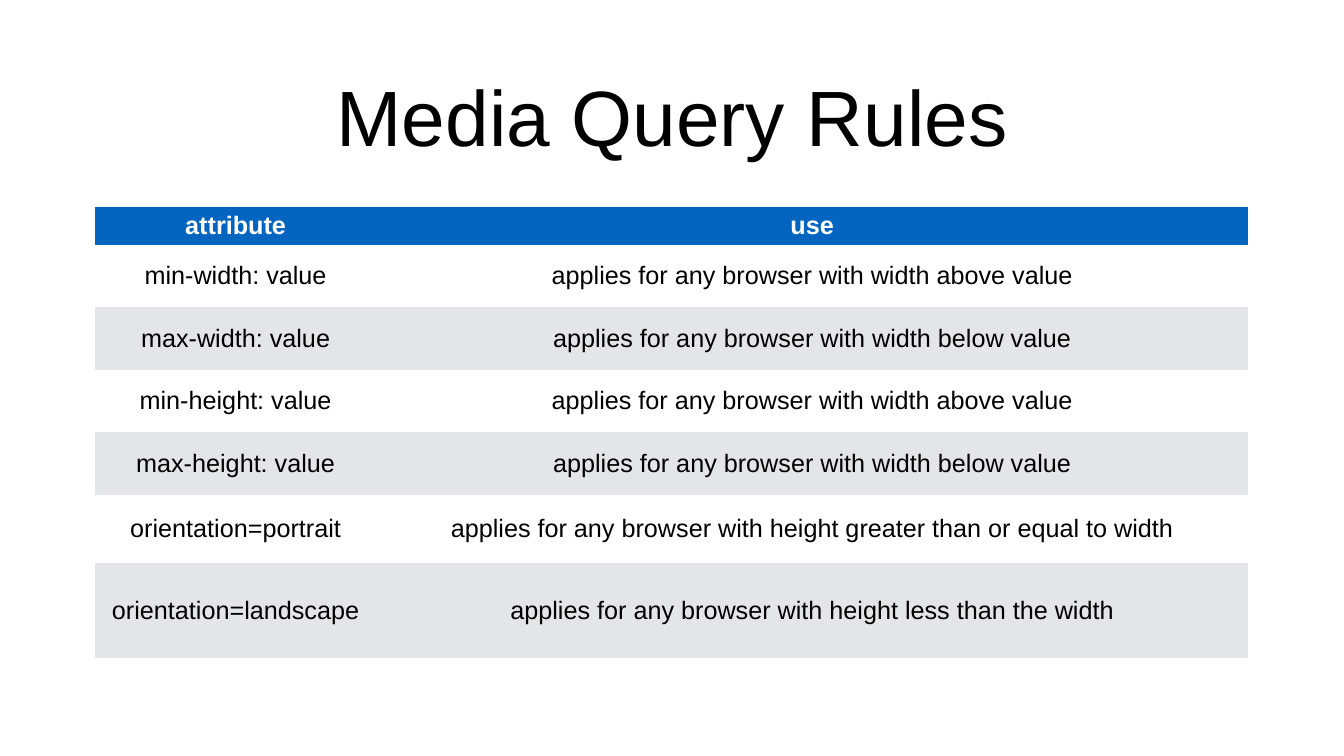
from pptx import Presentation
from pptx.dml.color import RGBColor
from pptx.enum.text import MSO_ANCHOR, PP_ALIGN
from pptx.util import Cm, Pt

ROWS = [
    ("attribute", "use"),
    ("min-width: value", "applies for any browser with width above value"),
    ("max-width: value", "applies for any browser with width below value"),
    ("min-height: value", "applies for any browser with width above value"),
    ("max-height: value", "applies for any browser with width below value"),
    ("orientation=portrait",
     "applies for any browser with height greater than or equal to width"),
    ("orientation=landscape",
     "applies for any browser with height less than the width"),
]
WIDTHS = [14.15, 43.97]
HEIGHTS = [1.93] + [3.15] * 4 + [3.43, 4.8]
PLAIN = "{2D5ABB26-0587-4C30-8999-92F81FD0307C}"


def color(code):
    """Turn a hex string into a colour."""
    return RGBColor.from_string(code)


def write(box, text, size=36, ink="000000", bold=False):
    """Put centred text in a cell or a text frame."""
    box.margin_left = box.margin_right = Cm(0.15)
    box.margin_top = box.margin_bottom = Cm(0.15)
    box.vertical_anchor = MSO_ANCHOR.MIDDLE
    frame = getattr(box, "text_frame", box)
    line = frame.paragraphs[0]
    line.alignment = PP_ALIGN.CENTER
    run = line.add_run()
    run.text = text
    font = run.font
    font.name = "Arial"
    font.size = Pt(size)
    font.bold = bold
    font.color.rgb = color(ink)


def add_title(slide, text):
    """Place and fill the title."""
    title = slide.shapes.title
    title.left, title.top = Cm(4.7), Cm(2.64)
    title.width, title.height = Cm(58.34), Cm(6.35)
    write(title.text_frame, text, size=112)


def add_rules(slide):
    """Add the banded table of query rules."""
    frame = slide.shapes.add_table(
        len(ROWS), len(WIDTHS), Cm(4.8), Cm(10.41),
        Cm(sum(WIDTHS)), Cm(sum(HEIGHTS)))
    table = frame.table
    table.horz_banding = False
    table._tbl.tblPr[0].text = PLAIN
    for col, width in zip(table.columns, WIDTHS):
        col.width = Cm(width)
    for i, (row, height) in enumerate(zip(table.rows, HEIGHTS)):
        row.height = Cm(height)
        head = i == 0
        fill = "0365C0" if head else ("E3E5E8", "FFFFFF")[i % 2]
        for cell, text in zip(row.cells, ROWS[i]):
            cell.fill.solid()
            cell.fill.fore_color.rgb = color(fill)
            write(cell, text, ink="FFFFFF" if head else "000000", bold=head)


def main():
    """Build and save the slide."""
    deck = Presentation()
    deck.slide_width, deck.slide_height = Cm(67.74), Cm(38.1)
    slide = deck.slides.add_slide(deck.slide_layouts[5])
    add_title(slide, "Media Query Rules")
    add_rules(slide)
    deck.save("out.pptx")


if __name__ == "__main__":
    main()
